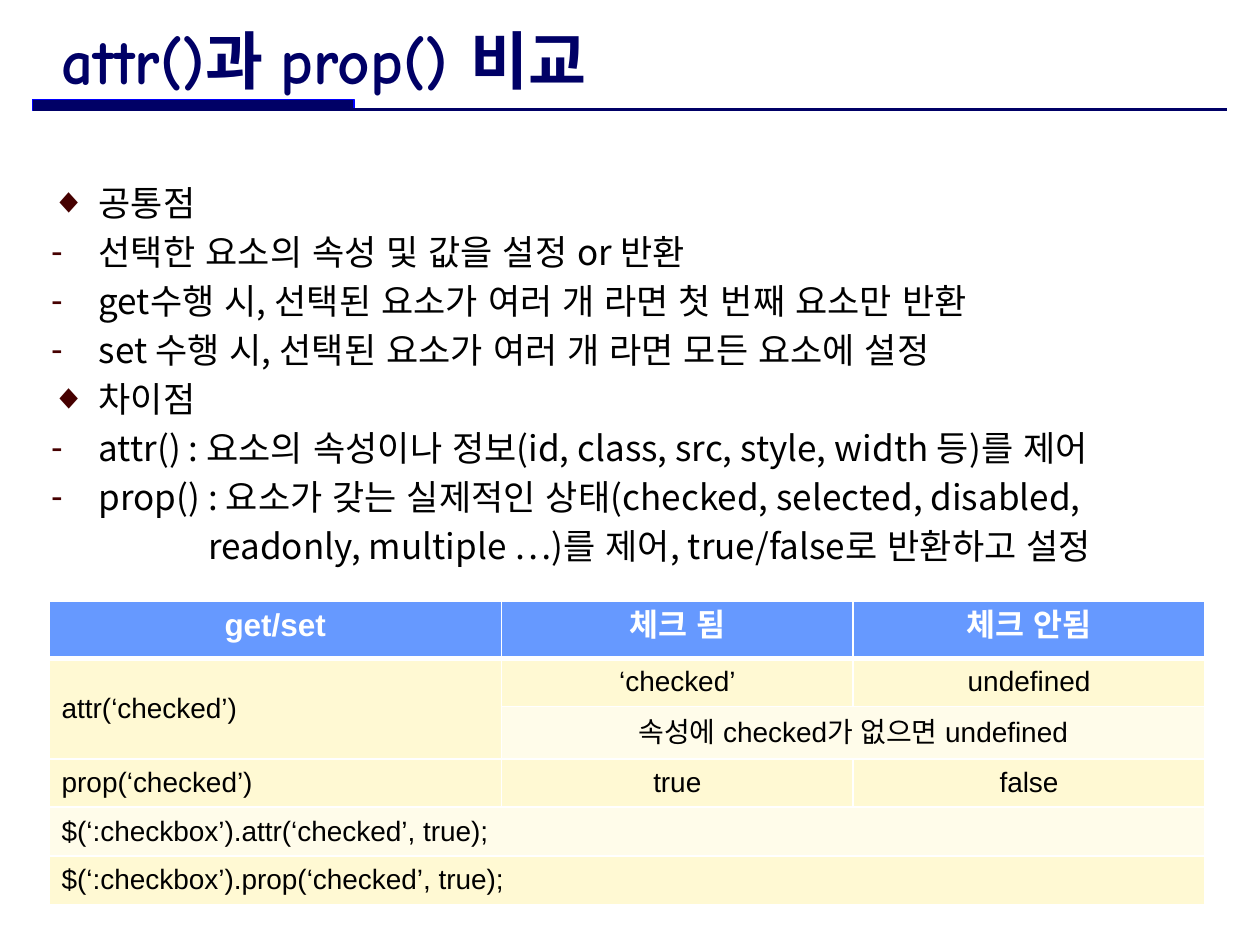
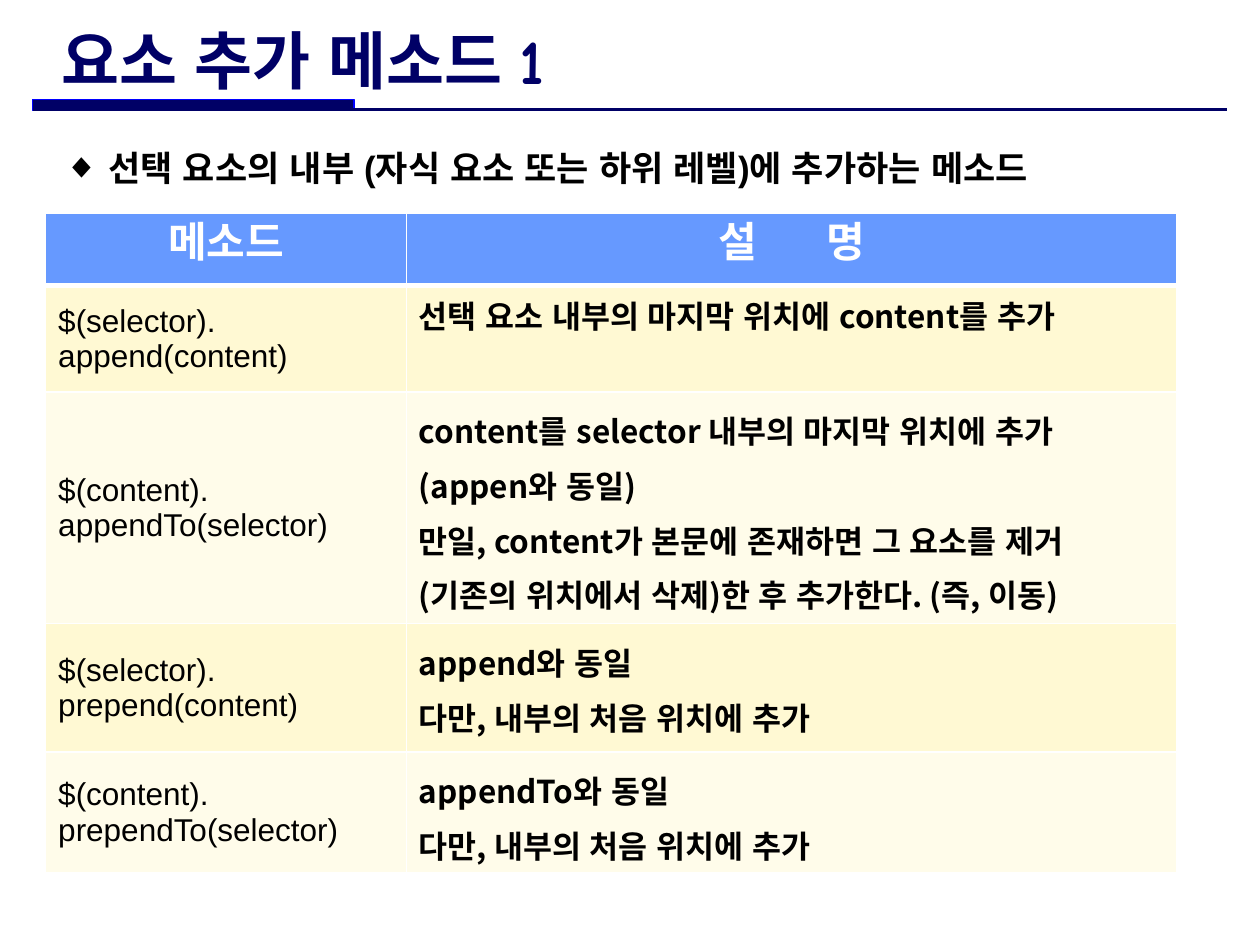
from dataclasses import dataclass
from typing import Optional

from lxml.etree import SubElement
from pptx import Presentation
from pptx.dml.color import RGBColor
from pptx.enum.shapes import MSO_CONNECTOR as Connector, MSO_SHAPE as Shape
from pptx.enum.text import MSO_ANCHOR as Anchor, PP_ALIGN as Align
from pptx.oxml.ns import qn
from pptx.util import Cm, Pt


@dataclass(frozen=True)
class Theme:
    navy: str = "000066"
    bar_edge: str = "0000FF"
    header: str = "6699FF"
    cream: str = "FFF9D3"
    ivory: str = "FFFCEA"
    white: str = "FFFFFF"
    black: str = "000000"
    maroon: str = "460000"
    title_font: str = "Comic Neue"
    latin_font: str = "Arial"
    korean_font: str = "Noto Sans CJK KR"
    title_size: int = 36
    heading_size: int = 24
    text_size: int = 20
    table_size: int = 18
    small_size: int = 16


THEME = Theme()


@dataclass(frozen=True)
class Frame:
    left: float
    top: float
    width: float
    height: float

    def lengths(self) -> tuple:
        return Cm(self.left), Cm(self.top), Cm(self.width), Cm(self.height)


@dataclass(frozen=True)
class Style:
    size: int
    font: str = THEME.latin_font
    color: str = THEME.black
    bold: bool = False


@dataclass(frozen=True)
class Item:
    text: str
    bullet: Optional[str] = None
    indent: float = 0.96


@dataclass(frozen=True)
class Entry:
    text: str
    style: Style
    align: Align = Align.LEFT
    anchor: Anchor = Anchor.MIDDLE
    spacing: Optional[float] = None
    rows: int = 1
    columns: int = 1


@dataclass(frozen=True)
class Grid:
    left: float
    top: float
    columns: tuple
    rows: tuple
    entries: tuple


TITLE = Style(THEME.title_size, THEME.title_font, THEME.navy, True)
BODY = Style(THEME.text_size, THEME.korean_font)
LEAD = Style(THEME.text_size, bold=True)
SMALL = Style(THEME.small_size)
CODE = Style(THEME.table_size)
DESCRIPTION = Style(THEME.table_size, THEME.korean_font, bold=True)


def format_paragraph(para, style: Style) -> None:
    for span in para.runs:
        font = span.font
        font.size = Pt(style.size)
        font.bold = style.bold
        font.color.rgb = RGBColor.from_string(style.color)
        font.name = style.font
        east_asian = SubElement(font._element, qn("a:ea"))
        east_asian.set("typeface", THEME.latin_font)


def set_indent(para, item: Item, color: str) -> None:
    properties = para._p.get_or_add_pPr()
    properties.set("marL", str(Cm(item.indent)))
    if item.bullet is None:
        return
    properties.set("indent", str(-Cm(item.indent)))
    tint = SubElement(SubElement(properties, qn("a:buClr")), qn("a:srgbClr"))
    tint.set("val", color)
    SubElement(properties, qn("a:buFont")).set("typeface", THEME.latin_font)
    SubElement(properties, qn("a:buChar")).set("char", item.bullet)


def add_text(page, frame: Frame, items: tuple, style: Style,
             bullet_color: str = THEME.black, anchor: Anchor = Anchor.TOP,
             before: float = 0) -> None:
    text_frame = page.shapes.add_textbox(*frame.lengths()).text_frame
    text_frame.word_wrap = True
    text_frame.vertical_anchor = anchor
    text_frame.text = "\n".join(item.text for item in items)
    for para, item in zip(text_frame.paragraphs, items):
        para.space_before = Pt(before)
        set_indent(para, item, bullet_color)
        format_paragraph(para, style)


def add_page(deck, title: str, title_width: float):
    page = deck.slides.add_slide(deck.slide_layouts[6])
    bar = page.shapes.add_shape(Shape.RECTANGLE,
                                *Frame(0.66, 2.01, 6.48, 0.22).lengths())
    bar.shadow.inherit = False
    bar.fill.solid()
    bar.fill.fore_color.rgb = RGBColor.from_string(THEME.navy)
    bar.line.color.rgb = RGBColor.from_string(THEME.bar_edge)
    bar.line.width = Pt(0.75)
    rule = page.shapes.add_connector(Connector.STRAIGHT, Cm(0.66), Cm(2.21),
                                     Cm(24.74), Cm(2.21))
    rule.line.color.rgb = RGBColor.from_string(THEME.navy)
    rule.line.width = Pt(1.5)
    SubElement(rule._element.spPr, qn("a:effectLst"))
    add_text(page, Frame(0.99, 0.53, title_width, 1.32),
             (Item(title, indent=0),), TITLE, anchor=Anchor.MIDDLE)
    return page


def paint_cell(cell, row: int) -> None:
    properties = cell._tc.get_or_add_tcPr()
    for side in ("lnL", "lnR", "lnT", "lnB"):
        heavy = (row, side) in ((0, "lnB"), (1, "lnT"))
        border = SubElement(properties, qn(f"a:{side}"), w=str(Pt(3 if heavy else 1)))
        fill = SubElement(border, qn("a:solidFill"))
        SubElement(fill, qn("a:srgbClr")).set("val", THEME.white)
    band = THEME.cream if row % 2 else THEME.ivory
    cell.fill.solid()
    cell.fill.fore_color.rgb = RGBColor.from_string(band if row else THEME.header)


def add_grid(page, grid: Grid):
    frame = Frame(grid.left, grid.top, sum(grid.columns), sum(grid.rows))
    table = page.shapes.add_table(len(grid.rows), len(grid.columns),
                                  *frame.lengths()).table
    for column, width in zip(table.columns, grid.columns):
        column.width = Cm(width)
    for row, height in zip(table.rows, grid.rows):
        row.height = Cm(height)
    for row, entries in enumerate(grid.entries):
        for column, entry in enumerate(entries):
            cell = table.cell(row, column)
            paint_cell(cell, row)
            if entry is None:
                continue
            if entry.rows * entry.columns > 1:
                cell.merge(table.cell(row + entry.rows - 1,
                                      column + entry.columns - 1))
            cell.vertical_anchor = entry.anchor
            cell.text_frame.text = entry.text
            for para in cell.text_frame.paragraphs:
                para.alignment = entry.align
                para.line_spacing = entry.spacing
                format_paragraph(para, entry.style)
    return table


def heading(text: str, size: int) -> Entry:
    return Entry(text, Style(size, color=THEME.white, bold=True),
                 Align.CENTER, Anchor.TOP)


def value(text: str, columns: int = 1) -> Entry:
    return Entry(text, SMALL, Align.CENTER, columns=columns)


def description(text: str) -> Entry:
    return Entry(text, DESCRIPTION, Align.JUSTIFY, Anchor.TOP, 1.2)


def build_comparison(deck) -> None:
    page = add_page(deck, "attr()과 prop() 비교", 17.25)
    points = (
        Item("공통점", "◆"),
        Item("선택한 요소의 속성 및 값을 설정 or 반환", "-"),
        Item("get수행 시, 선택된 요소가 여러 개 라면 첫 번째 요소만 반환", "-"),
        Item("set 수행 시, 선택된 요소가 여러 개 라면 모든 요소에 설정", "-"),
        Item("차이점", "◆"),
        Item("attr() : 요소의 속성이나 정보(id, class, src, style, width 등)를 제어", "-"),
        Item("prop() : 요소가 갖는 실제적인 상태(checked, selected, disabled,", "-"),
        Item("readonly, multiple …)를 제어, true/false로 반환하고 설정", indent=3.17),
    )
    add_text(page, Frame(0.78, 3.53, 23.95, 13.87), points, BODY,
             THEME.maroon, before=4)
    add_grid(page, Grid(
        0.99, 12.12, (9.12, 7.09, 7.09), (1.15, 0.97, 1.06, 0.97, 0.99, 0.97),
        (
            tuple(heading(text, THEME.table_size)
                  for text in ("get/set", "체크 됨", "체크 안됨")),
            (Entry("attr(‘checked’)", SMALL, rows=2),
             value("‘checked’"), value("undefined")),
            (None, value("속성에 checked가 없으면 undefined", 2), None),
            (Entry("prop(‘checked’)", SMALL), value("true"), value("false")),
            (Entry("$(‘:checkbox’).attr(‘checked’, true);", SMALL, columns=3),
             None, None),
            (Entry("$(‘:checkbox’).prop(‘checked’, true);", SMALL, columns=3),
             None, None),
        )))


def build_insertion(deck) -> None:
    page = add_page(deck, "요소 추가 메소드 1", 21.51)
    table = add_grid(page, Grid(
        0.92, 4.29, (7.27, 15.54), (1.47, 2.14, 4.67, 2.59, 2.44),
        (
            (heading("메소드", THEME.heading_size),
             heading("설 ", THEME.heading_size)),
            (Entry("$(selector).\nappend(content)", CODE),
             Entry("선택 요소 내부의 마지막 위치에 content를 추가", DESCRIPTION,
                   anchor=Anchor.TOP)),
            (Entry("$(content).\nappendTo(selector)", CODE),
             description("content를 selector 내부의 마지막 위치에 추가\n"
                         "(appen와 동일)\n"
                         "만일, content가 본문에 존재하면 그 요소를 제거\n"
                         "(기존의 위치에서 삭제)한 후 추가한다. (즉, 이동)")),
            (Entry("$(selector).\nprepend(content)", CODE),
             description("append와 동일\n다만, 내부의 처음 위치에 추가")),
            (Entry("$(content).\nprependTo(selector)", CODE),
             description("appendTo와 동일\n다만, 내부의 처음 위치에 추가")),
        )))
    para = table.cell(0, 1).text_frame.paragraphs[0]
    para.runs[0].font._element.set("spc", "1650")
    span = para.add_run()
    span.text = "명"
    span.font.size = Pt(THEME.heading_size)
    span.font.bold = True
    span.font.name = THEME.latin_font
    span.font.color.rgb = RGBColor.from_string(THEME.white)
    add_text(page, Frame(1.04, 2.82, 22.68, 1.12),
             (Item("선택 요소의 내부 (자식 요소 또는 하위 레벨)에 추가하는 메소드",
                   "◆", 0.9),), LEAD)


def main() -> None:
    deck = Presentation()
    deck.slide_width, deck.slide_height = Cm(25.4), Cm(19.05)
    build_comparison(deck)
    build_insertion(deck)
    deck.save("out.pptx")


if __name__ == "__main__":
    main()
